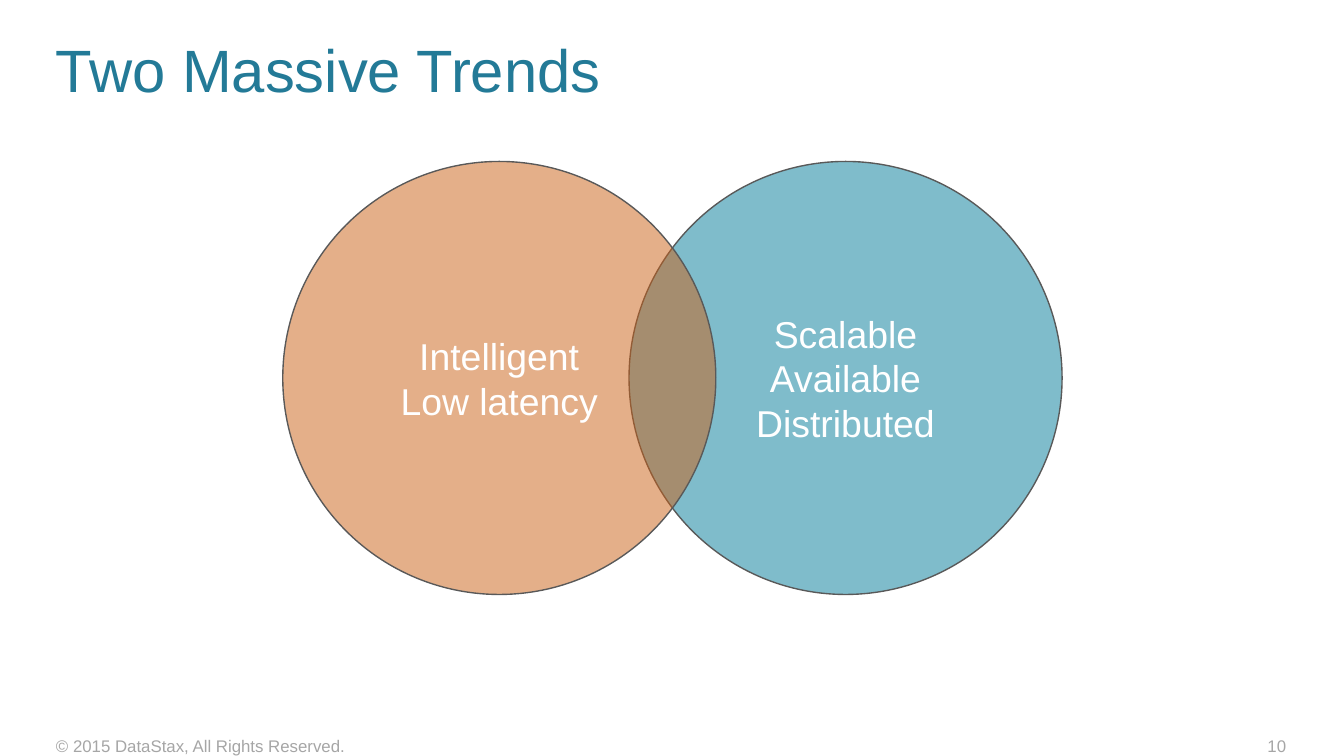
from lxml.etree import SubElement
from pptx import Presentation
from pptx.dml.color import RGBColor
from pptx.enum.shapes import MSO_SHAPE
from pptx.enum.text import MSO_ANCHOR, PP_ALIGN
from pptx.oxml.ns import qn
from pptx.util import Pt


def color(value):
    return RGBColor.from_string(value)


def write_lines(text_frame, lines, size, text_color, alignment):
    """Write each line as its own paragraph."""
    for index, line in enumerate(lines):
        paragraph = text_frame.add_paragraph() if index else text_frame.paragraphs[0]
        paragraph.alignment = alignment
        run = paragraph.add_run()
        run.text = line
        for name, value in {"name": "Arial", "size": Pt(size)}.items():
            setattr(run.font, name, value)
        run.font.color.rgb = color(text_color)


presentation = Presentation()
presentation.slide_width = Pt(720)
presentation.slide_height = Pt(405)
slide = presentation.slides.add_slide(presentation.slide_layouts[6])

# Title, copyright line and slide number
labels = [
    ("Two Massive Trends", (30, 16.5, 594, 41), 32, "237A97", PP_ALIGN.LEFT, MSO_ANCHOR.MIDDLE),
    ("© 2015 DataStax, All Rights Reserved.", (30, 394, 276, 21.5), 9, "A6A6A6", PP_ALIGN.LEFT, MSO_ANCHOR.TOP),
    ("10", (533, 394, 156, 21.5), 9, "A6A6A6", PP_ALIGN.RIGHT, MSO_ANCHOR.TOP),
]
for text, box, size, text_color, alignment, anchor in labels:
    text_frame = slide.shapes.add_textbox(*map(Pt, box)).text_frame
    text_format = {
        "word_wrap": True, "vertical_anchor": anchor,
        "margin_left": 0, "margin_right": 0, "margin_top": 0, "margin_bottom": 0,
    }
    for name, value in text_format.items():
        setattr(text_frame, name, value)
    write_lines(text_frame, [text], size, text_color, alignment)

# Two overlapping, half-transparent circles
diameter = 232
circles = [
    (337, "007B98", ["Scalable", "Available", "Distributed"]),
    (151.5, "CB6015", ["Intelligent", "Low latency"]),
]
for left, fill_color, lines in circles:
    circle = slide.shapes.add_shape(
        MSO_SHAPE.OVAL, Pt(left), Pt(86.5), Pt(diameter), Pt(diameter))
    circle.shadow.inherit = False
    circle.fill.solid()
    circle.fill.fore_color.rgb = color(fill_color)
    fill = circle.element.spPr.find(qn("a:solidFill"))
    SubElement(fill[0], qn("a:alpha"), val="50000")
    circle.line.color.rgb = color("595959")
    circle.line.width = Pt(0.75)
    circle.text_frame.word_wrap = True
    circle.text_frame.vertical_anchor = MSO_ANCHOR.MIDDLE
    write_lines(circle.text_frame, lines, 20, "FFFFFF", PP_ALIGN.CENTER)

presentation.save("out.pptx")
